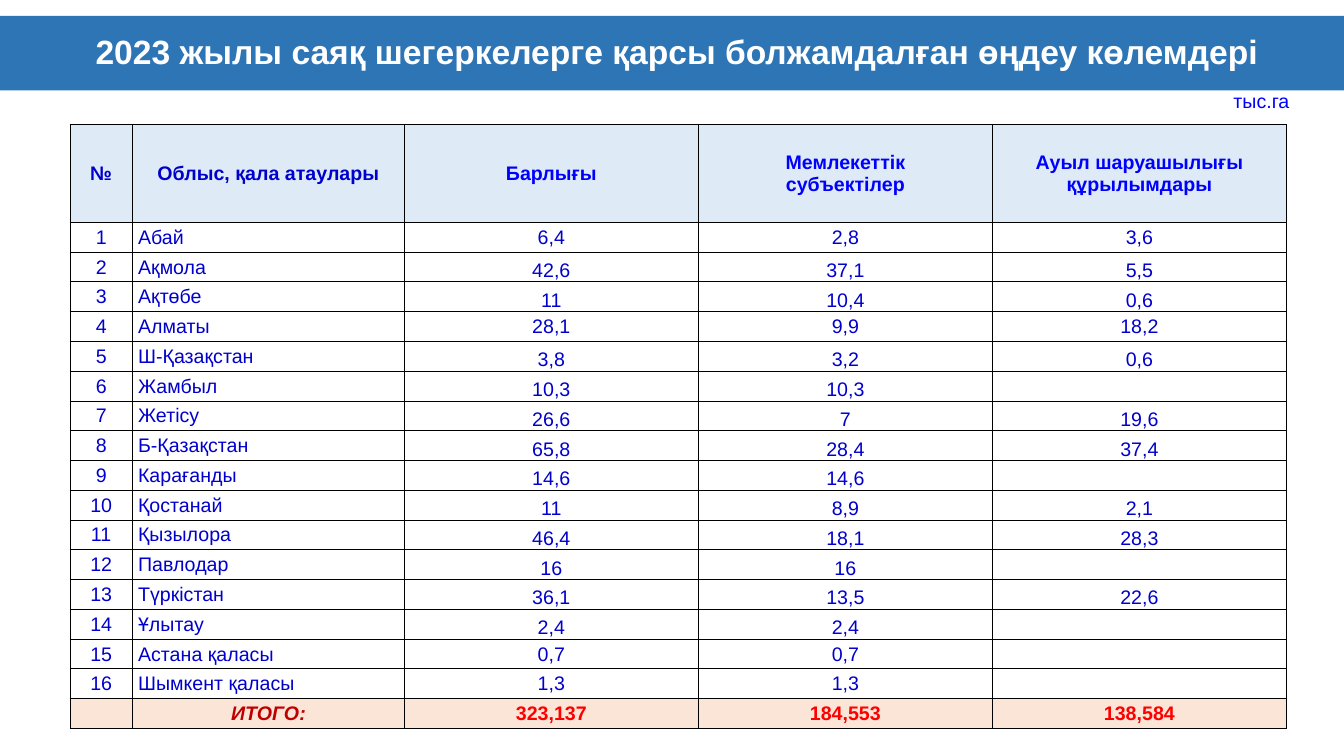
"""Build the slide with the table of planned 2023 locust treatment volumes."""
import lxml.etree
import pptx
import pptx.dml.color
import pptx.enum.text
import pptx.oxml.ns
import pptx.util

Cm = pptx.util.Cm
Pt = pptx.util.Pt
RGBColor = pptx.dml.color.RGBColor
ALIGN = pptx.enum.text.PP_ALIGN
ANCHOR = pptx.enum.text.MSO_ANCHOR

TITLE = "2023 жылы саяқ шегеркелерге қарсы болжамдалған өңдеу көлемдері"
UNIT = "тыс.га"
HEADER = ("№", "Облыс, қала атаулары", "Барлығы", "Мемлекеттік\nсубъектілер",
          "Ауыл шаруашылығы құрылымдары")
REGIONS = [
    ("Абай", "6,4", "2,8", "3,6"),
    ("Ақмола", "42,6", "37,1", "5,5"),
    ("Ақтөбе", "11", "10,4", "0,6"),
    ("Алматы", "28,1", "9,9", "18,2"),
    ("Ш-Қазақстан", "3,8", "3,2", "0,6"),
    ("Жамбыл", "10,3", "10,3", ""),
    ("Жетісу", "26,6", "7", "19,6"),
    ("Б-Қазақстан", "65,8", "28,4", "37,4"),
    ("Карағанды", "14,6", "14,6", ""),
    ("Қостанай", "11", "8,9", "2,1"),
    ("Қызылора", "46,4", "18,1", "28,3"),
    ("Павлодар", "16", "16", ""),
    ("Түркістан", "36,1", "13,5", "22,6"),
    ("Ұлытау", "2,4", "2,4", ""),
    ("Астана қаласы", "0,7", "0,7", ""),
    ("Шымкент қаласы", "1,3", "1,3", ""),
]
TOTAL = ("", "ИТОГО:", "323,137", "184,553", "138,584")
MIDDLE_ROWS = {1, 4, 15, 16}

WHITE = RGBColor(0xFF, 0xFF, 0xFF)
BAND_BLUE = RGBColor(0x2E, 0x75, 0xB6)
HEADER_FILL = RGBColor(0xDE, 0xEB, 0xF7)
TOTAL_FILL = RGBColor(0xFB, 0xE5, 0xD6)
DARK_BLUE = RGBColor(0x00, 0x00, 0xCC)
BLUE = RGBColor(0x00, 0x00, 0xFF)
DARK_RED = RGBColor(0xC0, 0x00, 0x00)
RED = RGBColor(0xFF, 0x00, 0x00)

COLUMN_WIDTHS = (1.58, 6.85, 7.41, 7.41, 7.41)
HEADER_HEIGHT = 2.46
ROW_HEIGHT = 0.75


def style_text(frame, size, color, bold=False, italic=False, align=ALIGN.CENTER):
    for para in frame.paragraphs:
        para.alignment = align
        para.font.name = "Arial"
        para.font.size = Pt(size)
        para.font.color.rgb = color
        para.font.bold = bold
        para.font.italic = italic


def add_borders(cell):
    properties = cell._tc.get_or_add_tcPr()
    qn = pptx.oxml.ns.qn
    for side in ("a:lnL", "a:lnR", "a:lnT", "a:lnB"):
        line = lxml.etree.SubElement(properties, qn(side), w=str(Pt(0.5)))
        fill = lxml.etree.SubElement(line, qn("a:solidFill"))
        lxml.etree.SubElement(fill, qn("a:srgbClr"), val="000000")


def add_title(page):
    title = page.shapes.title
    title.left, title.top, title.width, title.height = Cm(0), Cm(0.4), Cm(33.87), Cm(1.88)
    title.fill.solid()
    title.fill.fore_color.rgb = BAND_BLUE
    frame = title.text_frame
    frame.text = TITLE
    frame.auto_size = pptx.enum.text.MSO_AUTO_SIZE.NONE
    frame.vertical_anchor = ANCHOR.MIDDLE
    frame.margin_left = Cm(0.5)
    frame.paragraphs[0].line_spacing = 0.9
    style_text(frame, 24, WHITE, bold=True)


def add_unit(page):
    frame = page.shapes.add_textbox(Cm(29.72), Cm(2.11), Cm(4.14), Cm(0.86)).text_frame
    frame.word_wrap = True
    frame.text = UNIT
    style_text(frame, 14, BLUE)


def add_volumes(page):
    numbered = [(str(number), *region) for number, region in enumerate(REGIONS, 1)]
    rows = [HEADER, *numbered, TOTAL]
    last = len(rows) - 1
    height = HEADER_HEIGHT + last * ROW_HEIGHT
    table = page.shapes.add_table(len(rows), len(HEADER), Cm(1.76), Cm(3.14),
                                  Cm(sum(COLUMN_WIDTHS)), Cm(height)).table
    for column, width in zip(table.columns, COLUMN_WIDTHS):
        column.width = Cm(width)
    for row_index, values in enumerate(rows):
        table.rows[row_index].height = Cm(ROW_HEIGHT if row_index else HEADER_HEIGHT)
        for column_index, value in enumerate(values):
            cell = table.cell(row_index, column_index)
            is_header, is_total = row_index == 0, row_index == last
            is_body = not (is_header or is_total)
            is_name = is_body and column_index == 1
            at_bottom = is_body and column_index > 1 and row_index not in MIDDLE_ROWS
            add_borders(cell)
            cell.fill.solid()
            cell.margin_left = Cm(0.14 if is_name else 0.02)
            cell.margin_right = cell.margin_top = Cm(0.02)
            cell.margin_bottom = Cm(0)
            cell.vertical_anchor = ANCHOR.BOTTOM if at_bottom else ANCHOR.MIDDLE
            cell.text = value
            if is_header:
                fill, color = HEADER_FILL, BLUE if column_index > 1 else DARK_BLUE
            elif is_total:
                fill, color = TOTAL_FILL, RED if column_index > 1 else DARK_RED
            else:
                fill, color = WHITE, DARK_BLUE
            cell.fill.fore_color.rgb = fill
            style_text(cell.text_frame, 14, color, bold=not is_body,
                       italic=is_total and column_index == 1,
                       align=ALIGN.LEFT if is_name else ALIGN.CENTER)


def main():
    deck = pptx.Presentation()
    deck.slide_width, deck.slide_height = Cm(33.87), Cm(19.05)
    page = deck.slides.add_slide(deck.slide_layouts[5])
    add_title(page)
    add_unit(page)
    add_volumes(page)
    deck.save("out.pptx")


if __name__ == "__main__":
    main()
